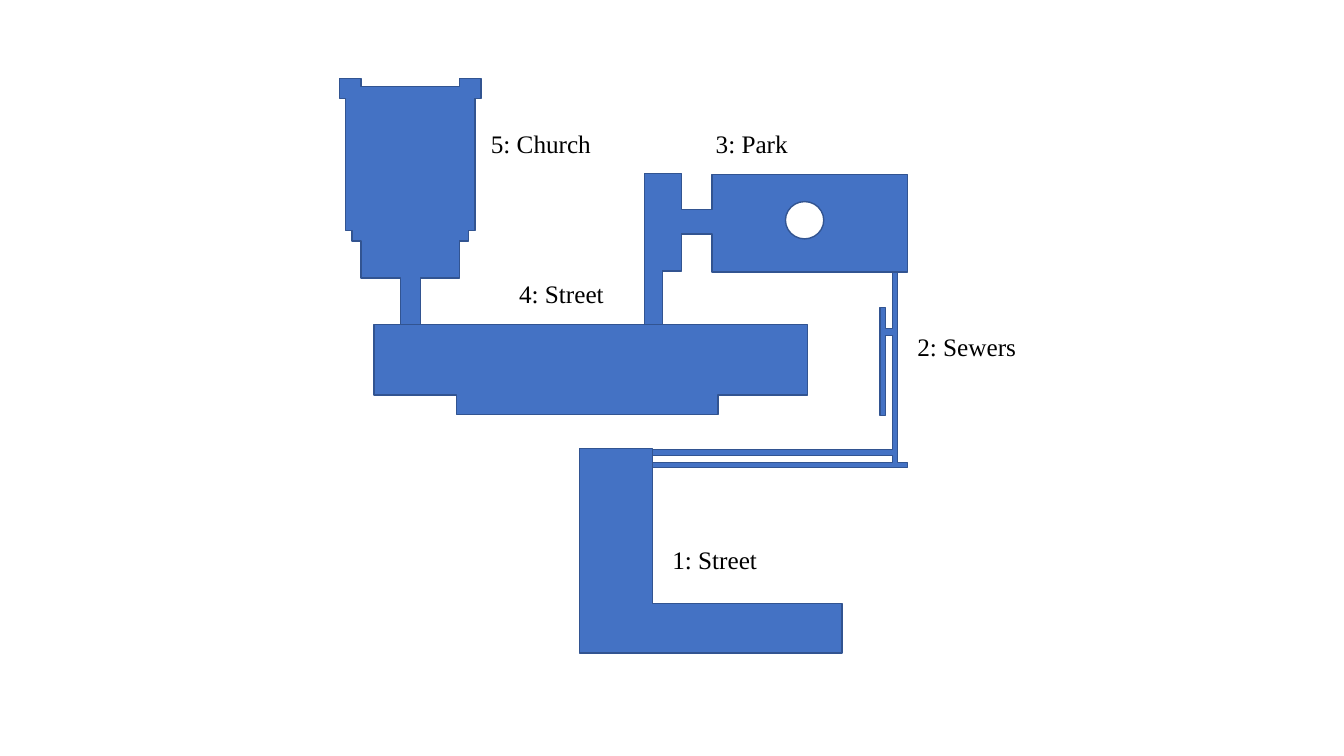
"""Builds a slide with a level map of five labelled areas."""
from pptx import Presentation
from pptx.dml.color import RGBColor
from pptx.enum.shapes import MSO_SHAPE
from pptx.enum.text import MSO_AUTO_SIZE
from pptx.util import Inches, Pt


def rgb(value):
    return RGBColor.from_string(value)


def paint(sp, fill):
    sp.shadow.inherit = False
    sp.fill.solid()
    sp.fill.fore_color.rgb = rgb(fill)
    sp.line.color.rgb = rgb("325491")
    sp.line.width = Pt(1)


prs = Presentation()
prs.slide_width, prs.slide_height = Inches(13.33), Inches(7.5)
s = prs.slides.add_slide(prs.slide_layouts[6])

sewers = [
    (8.85, 2.61), (8.9, 2.61), (8.9, 4.59), (9, 4.59), (9, 4.64),
    (6.17, 4.64), (6.17, 4.59), (8.85, 4.59), (8.85, 4.52), (5.87, 4.52),
    (5.87, 4.46), (8.85, 4.46), (8.85, 3.33), (8.78, 3.33), (8.78, 4.12),
    (8.73, 4.12), (8.73, 3.05), (8.78, 3.05), (8.78, 3.26), (8.85, 3.26),
]
first_street = [(5.75, 4.45), (6.47, 4.45), (6.47, 5.99),
                (8.35, 5.99), (8.35, 6.48), (5.75, 6.48)]
church_axis = 4.07
church_right = [
    (4.56, 0.86), (4.56, 0.78), (4.77, 0.78), (4.77, 0.98), (4.71, 0.98),
    (4.71, 2.29), (4.65, 2.29), (4.65, 2.39), (4.56, 2.39), (4.56, 2.76),
    (4.17, 2.76), (4.17, 3.22),
]
church = church_right + [(2 * church_axis - x, y) for x, y in reversed(church_right)]
park = [
    (6.39, 1.72), (6.76, 1.72), (6.76, 2.08), (7.06, 2.08), (7.06, 1.73),
    (9, 1.73), (9, 2.7), (7.06, 2.7), (7.06, 2.32), (6.76, 2.32),
    (6.76, 2.69), (6.57, 2.69), (6.57, 3.24), (6.39, 3.24),
]
second_street = [(3.71, 3.22), (8.01, 3.22), (8.01, 3.92), (7.12, 3.92),
                 (7.12, 4.11), (4.53, 4.11), (4.53, 3.92), (3.71, 3.92)]

for outline in (sewers, first_street, church, park, second_street):
    points = [(Inches(x), Inches(y)) for x, y in outline]
    builder = s.shapes.build_freeform(*points[0])
    builder.add_line_segments(points[1:], close=True)
    paint(builder.convert_to_shape(), "4472C4")

pond = s.shapes.add_shape(MSO_SHAPE.OVAL, Inches(7.79), Inches(2),
                          Inches(0.38), Inches(0.37))
paint(pond, "FFFFFF")

labels = [
    ("1: Street", 6.57, 5.35, 1.79, True),
    ("2: Sewers", 9, 3.24, 1.19, False),
    ("3: Park", 7, 1.22, 0.92, False),
    ("4: Street", 5.05, 2.71, 1.08, False),
    ("5: Church", 4.77, 1.22, 1.2, False),
]
font_format = {"name": "Times New Roman", "size": Pt(18)}
for text, left, top, width, wrap in labels:
    sp = s.shapes.add_textbox(Inches(left), Inches(top), Inches(width), Inches(0.4))
    tf = sp.text_frame
    tf.word_wrap = wrap
    tf.auto_size = MSO_AUTO_SIZE.SHAPE_TO_FIT_TEXT
    r = tf.paragraphs[0].add_run()
    r.text = text
    for key, value in font_format.items():
        setattr(r.font, key, value)
    r.font.color.rgb = rgb("000000")

prs.save("out.pptx")
